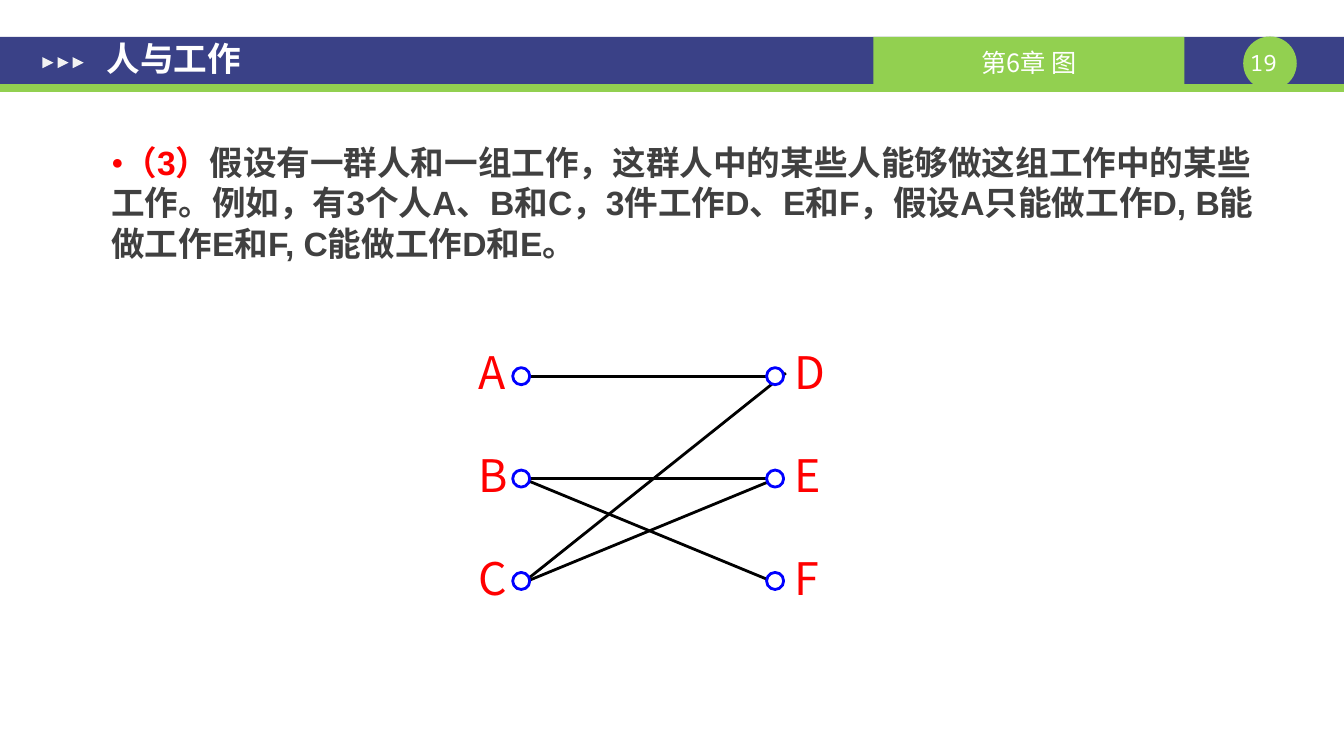
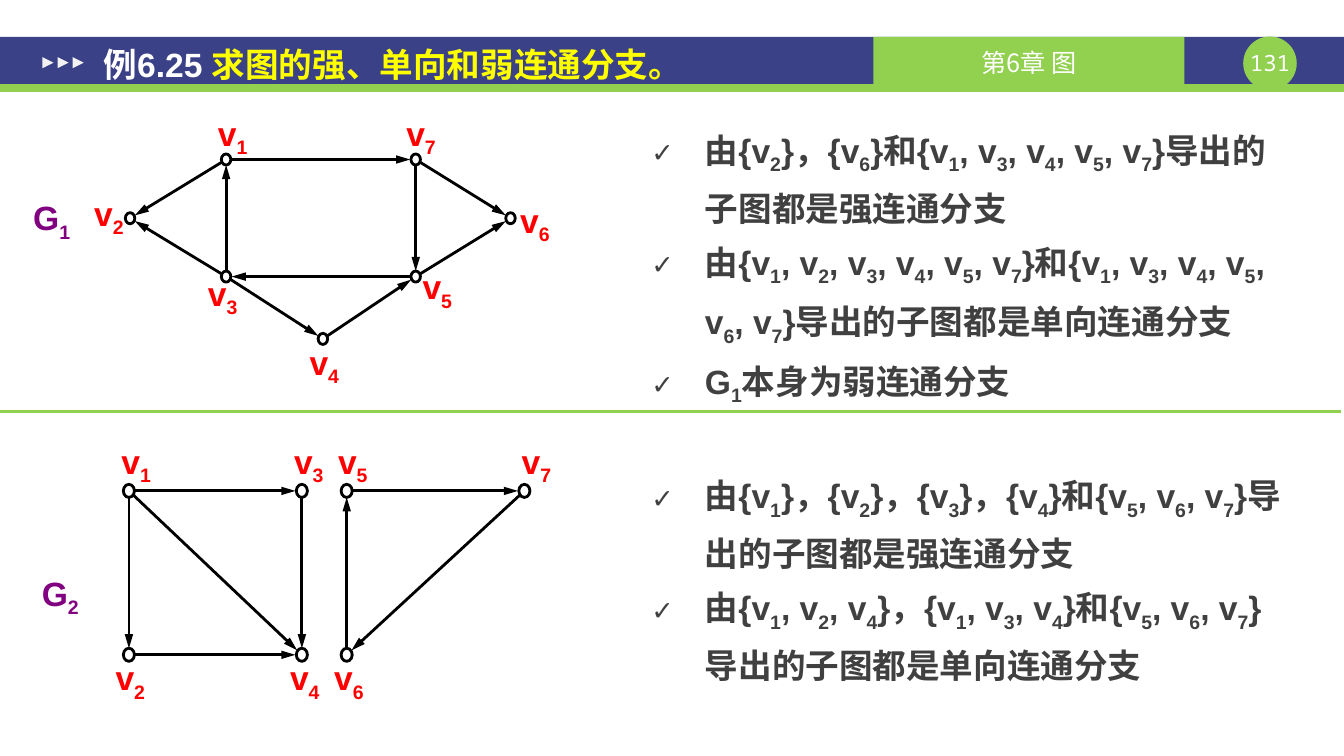
from math import hypot

from lxml.etree import SubElement
from pptx import Presentation
from pptx.dml.color import RGBColor
from pptx.enum.shapes import MSO_CONNECTOR as Link, MSO_SHAPE as Kind
from pptx.enum.text import MSO_ANCHOR as Anchor, MSO_AUTO_SIZE as Fit, PP_ALIGN as Align
from pptx.oxml.ns import qn
from pptx.util import Cm, Pt

INK = {
    "navy": "3A4187", "green": "92D050", "white": "FFFFFF", "pale": "F2F2F2",
    "grey": "404040", "red": "FF0000", "yellow": "FFFF00", "black": "000000",
    "blue": "0000FF", "purple": "800080",
}
HAN, MONO = "Noto Sans CJK SC", "Noto Sans Mono"
WIDE, HIGH = 33.88, 19.05
PAD = (0.33, 0.18, 0.33, 0.18)
BARE = (0, 0, 0, 0)


def tint(name):
    return RGBColor.from_string(INK[name])


def write(para, words, size=24, font="Arial", ink="grey", bold=True):
    """Add words to a paragraph; the sign after each underscore is set low."""
    first, *rest = words.split("_")
    parts = [(first, False)]
    for part in rest:
        parts += [(part[0], True), (part[1:], False)]
    for part, low in parts:
        if not part:
            continue
        run = para.add_run()
        run.text = part
        run.font.size, run.font.bold, run.font.name = Pt(size), bold, font
        run.font.color.rgb = tint(ink)
        props = run.font._element
        SubElement(props, qn("a:ea")).set("typeface", HAN)
        if low:
            props.set("baseline", "-25000")


def mark(para, sign, ink, left, hang=0, scale=80, font="Arial"):
    """Give a paragraph a bullet sign, its look and its indent."""
    props = para._p.get_or_add_pPr()
    props.set("marL", str(Cm(left)))
    props.set("indent", str(Cm(hang)))
    SubElement(SubElement(props, qn("a:buClr")), qn("a:srgbClr")).set("val", INK[ink])
    SubElement(props, qn("a:buSzPct")).set("val", str(scale * 1000))
    SubElement(props, qn("a:buFont")).set("typeface", font)
    SubElement(props, qn("a:buChar")).set("char", sign)


def setup(frame, pad=BARE, anchor=Anchor.TOP):
    """Set wrap, insets and anchor, and return the first paragraph."""
    frame.word_wrap, frame.auto_size = True, Fit.NONE
    frame.vertical_anchor = anchor
    (frame.margin_left, frame.margin_top,
     frame.margin_right, frame.margin_bottom) = map(Cm, pad)
    return frame.paragraphs[0]


class Deck:
    def __init__(self):
        self.prs = Presentation()
        self.prs.slide_width, self.prs.slide_height = Cm(WIDE), Cm(HIGH)
        self.slide = None

    def start(self, number, title, at, space=1.0):
        """Open a slide with its bands, chapter tag, number and title."""
        self.slide = self.prs.slides.add_slide(self.prs.slide_layouts[5])
        self.shape(Kind.RECTANGLE, (0, 0.93, WIDE, 1.2), "navy")
        self.shape(Kind.RECTANGLE, (0, 2.12, WIDE, 0.2), "green")
        self.shape(Kind.OVAL, (31.34, 0.92, 1.35, 1.35), "green")
        self.label((31.34, 1.23, 1.35, 0.69), f"{number} ", size=16,
                   font=MONO, ink="white", bold=False)
        tag = self.shape(Kind.RECTANGLE, (22.02, 0.93, 7.84, 1.2), "green")
        para = setup(tag.text_frame, (0.25, 0.1, 0.25, 0), Anchor.MIDDLE)
        para.alignment = Align.CENTER
        write(para, "第6章 图", size=18, font=HAN, ink="white", bold=False)
        for i in range(3):
            tip = self.shape(Kind.ISOSCELES_TRIANGLE,
                             (1.07 + 0.38 * i, 1.44, 0.28, 0.28), "pale")
            tip.rotation = 90

        head = self.slide.shapes.title
        head.left, head.top, head.width, head.height = map(Cm, at)
        head.element.getparent().append(head.element)
        para = setup(head.text_frame, PAD, Anchor.MIDDLE)
        para.alignment, para.line_spacing = Align.LEFT, space
        for words, ink in title:
            write(para, words, ink=ink)

    def shape(self, kind, at, fill, edge=None):
        item = self.slide.shapes.add_shape(kind, *map(Cm, at))
        item.shadow.inherit = False
        item.fill.solid()
        item.fill.fore_color.rgb = tint(fill)
        if edge:
            item.line.color.rgb = tint(edge)
            item.line.width = Pt(2)
        else:
            item.line.fill.background()
        return item

    def box(self, at, pad=BARE):
        """Add a text box and return its frame."""
        frame = self.slide.shapes.add_textbox(*map(Cm, at)).text_frame
        setup(frame, pad)
        return frame

    def label(self, at, words, align=Align.CENTER, **style):
        para = self.box(at).paragraphs[0]
        para.alignment = align
        write(para, words, **style)

    def line(self, ends, ink="black", width=2, arrow=False):
        item = self.slide.shapes.add_connector(Link.STRAIGHT, *map(Cm, ends))
        item.line.width = Pt(width)
        item.line.color.rgb = tint(ink)
        props = item._element.spPr
        if arrow:
            tail = SubElement(props.find(qn("a:ln")), qn("a:tailEnd"))
            for key, value in (("type", "triangle"), ("w", "med"), ("len", "lg")):
                tail.set(key, value)
        SubElement(props, qn("a:effectLst"))

    def node(self, x, y, wide, high, edge="black"):
        """Draw a ring around a centre point."""
        self.shape(Kind.OVAL, (x - wide / 2, y - high / 2, wide, high), "white", edge)

    def graph(self, nodes, edges, ring, room):
        """Draw a directed graph; each node has a centre and a label corner."""
        trim = ring[1] / 2
        for a, b in edges:
            (x1, y1), (x2, y2) = nodes[a][:2], nodes[b][:2]
            reach = trim / hypot(x2 - x1, y2 - y1)
            dx, dy = (x2 - x1) * reach, (y2 - y1) * reach
            self.line((x1 + dx, y1 + dy, x2 - dx, y2 - dy), arrow=True)
        for name, (x, y, left, top) in nodes.items():
            self.node(x, y, *ring)
            self.label((left, top, *room), f"v_{name}", ink="red")


def jobs(deck):
    deck.start(19, [("人与工作", "white")], (2.36, 0.36, 4.29, 2.21))
    para = deck.box((1.21, 3.4, 31.22, 8), PAD).paragraphs[0]
    mark(para, "●", "red", 1.27, scale=60)
    write(para, "（3）", ink="red")
    write(para, "假设有一群人和一组工作，这群人中的某些人能够做这组工作中的某些工作。"
                "例如，有3个人A、B和C，3件工作D、E和F，假设A只能做工作D, "
                "B能做工作E和F, C能做工作D和E。")
    for ends in ((13.08, 9.48, 19.46, 9.48), (13.08, 12.05, 19.46, 12.05),
                 (19.81, 9.4, 13, 14.83), (13.08, 14.73, 19.69, 12.01),
                 (13.06, 12.01, 19.66, 14.73)):
        deck.line(ends)
    for names, x, left in (("ABC", 13.14, 12.06), ("DEF", 19.54, 20.02)):
        for i, name in enumerate(names):
            deck.node(x, 9.48 + 2.58 * i, 0.43, 0.43, "blue")
            deck.label((left, 8.69 + 2.6 * i, 0.95, 1.6), name, Align.LEFT,
                       size=32, font=HAN, ink="red", bold=False)


def parts(deck):
    deck.start(131, [("例6.25 ", "white"), ("求图的强、单向和弱连通分支。", "yellow")],
               (2.28, 0.43, 29.82, 2.18), space=1.2)
    points = [
        ("由{v_2}，{v_6}和{v_1, v_3, v_4, v_5, v_7}导出的子图都是强连通分支", 0),
        ("由{v_1, v_2, v_3, v_4, v_5, v_7}和{v_1, v_3, v_4, v_5, v_6, v_7}"
         "导出的子图都是单向连通分支", 0),
        ("G_1本身为弱连通分支", 0),
        ("由{v_1}，{v_2}，{v_3}，{v_4}和{v_5, v_6, v_7}导出的子图都是强连通分支", 39),
        ("由{v_1, v_2, v_4}，{v_1, v_3, v_4}和{v_5, v_6, v_7}"
         "导出的子图都是单向连通分支", 0),
    ]
    frame = deck.box((16.09, 2.74, 16.66, 15.85), PAD)
    for i, (words, gap) in enumerate(points):
        para = frame.add_paragraph() if i else frame.paragraphs[0]
        mark(para, "✓", "grey", 1.35, -1.35, font=MONO)
        para.line_spacing = 1.3
        if gap:
            para.space_before = Pt(gap)
        write(para, words)

    deck.label((0.67, 4.97, 1.27, 1.12), "G_1", ink="purple")
    deck.graph({1: (5.7, 4.02, 5.41, 2.84), 2: (3.28, 5.5, 2.29, 4.85),
                3: (5.7, 6.97, 5.16, 6.87), 4: (8.14, 8.54, 7.72, 8.61),
                5: (10.48, 6.97, 10.57, 6.71), 6: (12.87, 5.5, 13.03, 5.03),
                7: (10.48, 4.02, 10.16, 2.84)},
               [(3, 1), (1, 7), (5, 3), (7, 5), (1, 2), (3, 2),
                (7, 6), (5, 6), (3, 4), (4, 5)],
               ring=(0.24, 0.28), room=(0.91, 1.37))

    deck.label((0.77, 14.43, 1.5, 1.19), "G_2", ink="purple")
    top, low = 12.37, 16.5
    deck.graph({1: (3.25, top, 2.89, 11.1), 3: (7.61, top, 7.24, 11.1),
                5: (8.74, top, 8.35, 11.1), 7: (13.22, top, 12.98, 11.1),
                2: (3.25, low, 2.74, 16.56), 4: (7.61, low, 7.14, 16.56),
                6: (8.74, low, 8.25, 16.56)},
               [(1, 2), (1, 3), (2, 4), (3, 4), (1, 4), (6, 5), (5, 7), (7, 6)],
               ring=(0.28, 0.33), room=(1.09, 1.3))
    deck.line((0, 10.36, 33.81, 10.36), "green", 2.25)


def main():
    deck = Deck()
    jobs(deck)
    parts(deck)
    deck.prs.save("out.pptx")


if __name__ == "__main__":
    main()
